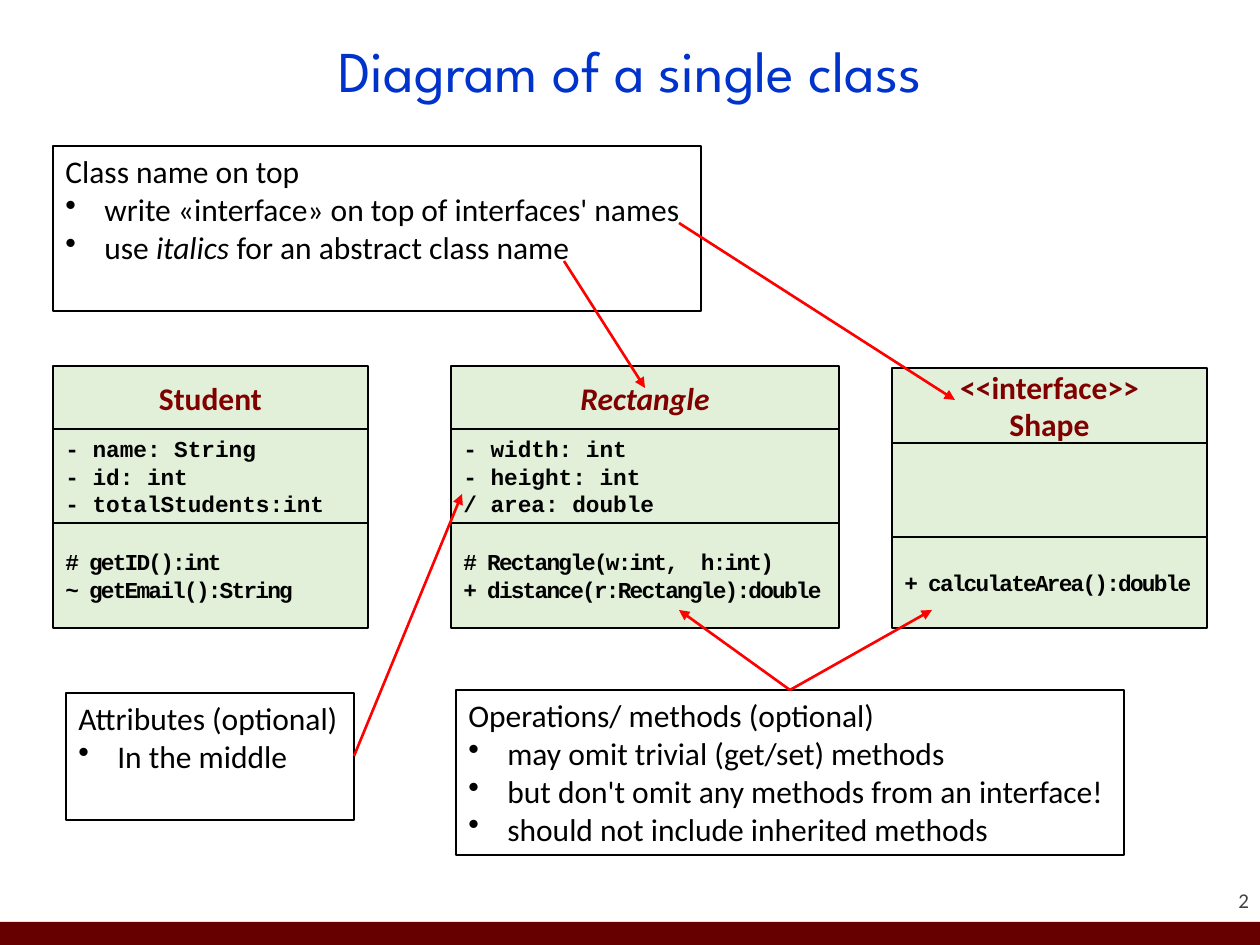
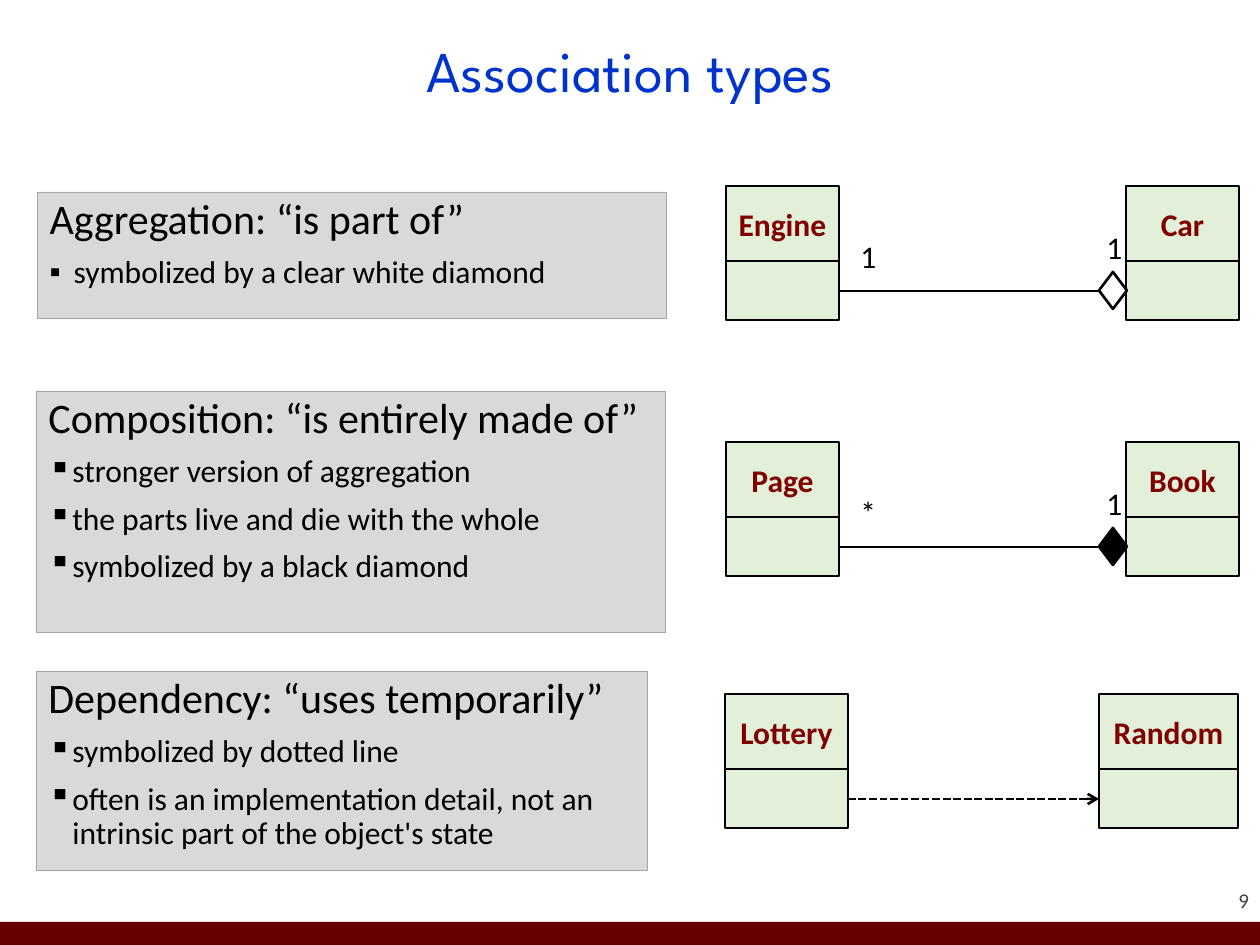
from dataclasses import dataclass, field
from itertools import accumulate

from lxml.etree import SubElement
from pptx import Presentation
from pptx.dml.color import RGBColor
from pptx.enum.dml import MSO_LINE
from pptx.enum.shapes import MSO_CONNECTOR, MSO_SHAPE
from pptx.enum.text import MSO_ANCHOR, MSO_AUTO_SIZE, PP_ALIGN
from pptx.oxml.ns import qn
from pptx.util import Emu, Pt

SCALE = 914400 / 126  # EMU in one px
TITLE_AND_BODY, TITLE_ONLY = 1, 5


def px(length):
    return Emu(round(length * SCALE))


def style(name, size, color, **extras):
    return {"name": name, "size": Pt(size), "color": color, **extras}


@dataclass
class Theme:
    maroon: str = "660000"
    class_fill: str = "E2F0D9"
    panel_fill: str = "D9D9D9"
    panel_edge: str = "A5A5A5"
    pointer: str = "FF0000"
    black: str = "000000"
    white: str = "FFFFFF"
    text: dict = field(default_factory=lambda: {
        "title": style("League Spartan", 33, "0033CC"),
        "number": style("Calibri", 12, "424242"),
        "heading": style("Calibri", 24, "000000"),
        "body": style("Calibri", 18, "000000"),
        "class": style("Calibri", 18, "800000", bold=True),
        "abstract": style("Calibri", 18, "800000", bold=True, italic=True),
        "attribute": style("Courier New", 13, "000000", bold=True),
        "operation": style("Courier New", 13, "000000", bold=True, spacing=-100),
    })


class Deck:
    def __init__(self, theme):
        self.theme = theme
        self.presentation = Presentation()
        self.presentation.slide_width = px(1260)
        self.presentation.slide_height = px(945)
        self.slide = self.canvas = None

    # Slide frame: title, bottom band and number
    def new_slide(self, title, number, layout):
        layouts = self.presentation.slide_layouts
        self.slide = self.presentation.slides.add_slide(layouts[layout])
        self.canvas = self.slide.shapes
        self.box(0, 922, 1260, 23, self.theme.maroon)
        self.label(1144, 863, 105, 50, number, "number", align=PP_ALIGN.RIGHT,
                   anchor=MSO_ANCHOR.BOTTOM, inset=0)
        heading = self.slide.shapes.title
        self.place(heading, 87, 15, 1086, 118)
        self.set_text(heading, [title], "title", align=PP_ALIGN.CENTER,
                      anchor=MSO_ANCHOR.MIDDLE, spacing=0.9)

    def start_group(self):
        self.canvas = self.slide.shapes.add_group_shape().shapes

    def end_group(self):
        self.canvas = self.slide.shapes

    # Basic elements
    def place(self, shape, *frame):
        for side, length in zip(("left", "top", "width", "height"), frame):
            setattr(shape, side, px(length))

    def paint(self, shape, fill, edge=None, weight=1.5):
        if fill:
            shape.fill.solid()
            shape.fill.fore_color.rgb = RGBColor.from_string(fill)
        else:
            shape.fill.background()
        if edge:
            shape.line.color.rgb = RGBColor.from_string(edge)
            shape.line.width = Pt(weight)
        else:
            shape.line.fill.background()

    def box(self, left, top, width, height, fill, edge=None, weight=1.5,
            kind=MSO_SHAPE.RECTANGLE):
        shape = self.canvas.add_shape(kind, *map(px, (left, top, width, height)))
        shape.shadow.inherit = False
        self.paint(shape, fill, edge, weight)
        return shape

    def label(self, left, top, width, height, words, look="body", **layout):
        frame = self.canvas.add_textbox(*map(px, (left, top, width, height)))
        self.set_text(frame, [words], look, **layout)

    def line(self, start, end, color, head=None, dash=None):
        connector = self.canvas.add_connector(
            MSO_CONNECTOR.STRAIGHT, *map(px, start + end))
        connector.line.color.rgb = RGBColor.from_string(color)
        connector.line.width = Pt(1.5)
        if dash:
            connector.line.dash_style = dash
        properties = connector._element.spPr
        if head:
            SubElement(properties.find(qn("a:ln")), qn("a:tailEnd"), type=head)
        SubElement(properties, qn("a:effectLst"))

    # Text: a paragraph is a string or a list of (words, extra format) runs
    def format_run(self, run, look, extras):
        values = {**self.theme.text[look], **extras}
        run.font.color.rgb = RGBColor.from_string(values.pop("color"))
        if "spacing" in values:
            run._r.get_or_add_rPr().set("spc", str(values.pop("spacing")))
        for attribute, value in values.items():
            setattr(run.font, attribute, value)

    def bullet(self, paragraph, symbol, indent):
        properties = paragraph._p.get_or_add_pPr()
        properties.set("marL", str(px(indent)))
        properties.set("indent", str(-px(indent)))
        if symbol:
            SubElement(properties, qn("a:buChar"), char=symbol)
        else:
            SubElement(properties, qn("a:buNone"))

    def set_text(self, shape, paragraphs, look, first_look=None, bullet=None,
                 indent=0, align=PP_ALIGN.LEFT, anchor=MSO_ANCHOR.TOP,
                 spacing=1.0, gap=0, inset=None):
        frame = shape.text_frame
        settings = {"word_wrap": True, "auto_size": MSO_AUTO_SIZE.NONE,
                    "vertical_anchor": anchor}
        if inset is not None:
            settings |= {f"margin_{side}": px(inset)
                         for side in ("left", "right", "top", "bottom")}
        for attribute, value in settings.items():
            setattr(frame, attribute, value)
        for index, content in enumerate(paragraphs):
            paragraph = frame.add_paragraph() if index else frame.paragraphs[0]
            if index and bullet:
                self.bullet(paragraph, bullet, indent)
            else:
                self.bullet(paragraph, None, 0)
            values = {"alignment": align, "line_spacing": spacing,
                      "space_before": Pt(gap if index else 0)}
            for attribute, value in values.items():
                setattr(paragraph, attribute, value)
            runs = [(content, {})] if isinstance(content, str) else content
            for words, extras in runs:
                run = paragraph.add_run()
                run.text = words
                self.format_run(run, look if index else first_look or look, extras)

    # Diagram parts
    def class_box(self, left, width, bounds, name, attributes=(),
                  operations=(), name_look="class"):
        parts = [(name, name_look), (attributes, "attribute"),
                 (operations, "operation")]
        for top, bottom, (lines, look) in zip(bounds, bounds[1:], parts):
            part = self.box(left, top, width, bottom - top,
                            self.theme.class_fill, self.theme.black,
                            kind=MSO_SHAPE.FLOWCHART_PROCESS)
            if lines:
                is_name = lines is name
                self.set_text(part, lines, look, anchor=MSO_ANCHOR.MIDDLE,
                              align=PP_ALIGN.CENTER if is_name else PP_ALIGN.LEFT,
                              inset=4 if is_name else None)

    def callout(self, left, top, width, height, paragraphs):
        note = self.box(left, top, width, height, self.theme.white,
                        self.theme.black, 1)
        self.set_text(note, paragraphs, "body", bullet="•", indent=39)

    def panel(self, left, top, width, height, paragraphs, placeholder=None):
        if placeholder is None:
            panel = self.box(left, top, width, height, None)
        else:
            panel = placeholder
            self.place(panel, left, top, width, height)
        self.paint(panel, self.theme.panel_fill, self.theme.panel_edge, 0.5)
        self.set_text(panel, paragraphs, "body", "heading", bullet="▪",
                      indent=24, spacing=0.9, gap=7.5)

    def relation(self, top, source, target):
        bounds = list(accumulate((top, 75, 59)))
        for left, width, name in (target, source):
            self.class_box(left, width, bounds, [name])
        return (source[0] + source[1], top + 105), (1099, top + 105)

    def whole_part(self, top, part, whole, count, diamond_fill):
        self.start_group()
        start, end = self.relation(top, (726, 113, part), (1126, 113, whole))
        self.line(start, end, self.theme.black)
        self.box(1099, top + 86, 28, 37, diamond_fill, self.theme.black,
                 kind=MSO_SHAPE.DIAMOND)
        self.label(848, top + 45, 67, 50, count)
        self.label(1094, top + 36, 37, 50, "1")
        self.end_group()


def single_class(deck):
    deck.new_slide("Diagram of a single class", "2", TITLE_ONLY)

    # Three class diagrams
    bounds, interface_bounds = (366, 429, 523, 628), (368, 443, 537, 628)
    classes = [
        (451, 388, bounds, ["Rectangle"],
         ["- width: int", "- height: int", "/ area: double"],
         ["# Rectangle(w:int,  h:int)", "+ distance(r:Rectangle):double"],
         "abstract"),
        (53, 315, bounds, ["Student"],
         ["- name: String", "- id: int", "- totalStudents:int"],
         ["# getID():int", "~ getEmail():String"]),
        (892, 315, interface_bounds, ["<<interface>>", "Shape"], [],
         ["+ calculateArea():double"]),
    ]
    for diagram in classes:
        deck.start_group()
        deck.class_box(*diagram)
        deck.end_group()

    # Explanations
    deck.callout(53, 146, 648, 165, [
        "Class name on top",
        "write «interface» on top of interfaces' names",
        [("use ", {}), ("italics ", {"italic": True}),
         ("for an abstract class name", {})],
    ])
    deck.callout(66, 693, 288, 127, ["Attributes (optional)", "In the middle"])
    deck.callout(456, 690, 668, 165, [
        "Operations/ methods (optional)",
        "may omit trivial (get/set) methods",
        "but don't omit any methods from an interface!",
        "should not include inherited methods",
    ])

    # Pointers from explanations to class parts
    operations_top = (790, 690)
    pointers = [
        ((564, 261), (645, 388)),
        ((679, 223), (955, 400)),
        ((354, 756), (462, 494)),
        (operations_top, (679, 610)),
        (operations_top, (932, 610)),
    ]
    for start, end in pointers:
        deck.line(start, end, deck.theme.pointer, "triangle")


def association_types(deck):
    deck.new_slide("Association types", "9", TITLE_AND_BODY)

    # Aggregation
    deck.panel(37, 192, 629, 127, [
        "Aggregation: “is part of”",
        "symbolized by a clear white diamond",
    ], deck.slide.placeholders[1])
    deck.whole_part(186, "Engine", "Car", "1", None)

    # Composition
    deck.panel(36, 391, 630, 242, [
        "Composition: “is entirely made of”",
        "stronger version of aggregation",
        "the parts live and die with the whole",
        "symbolized by a black diamond",
    ])
    deck.whole_part(442, "Page", "Book", "*", deck.theme.black)

    # Dependency
    deck.panel(36, 671, 611, 200, [
        "Dependency: “uses temporarily”",
        "symbolized by dotted line",
        "often is an implementation detail, not an intrinsic part of the "
        "object's state",
    ])
    deck.start_group()
    start, end = deck.relation(694, (725, 123, "Lottery"), (1099, 139, "Random"))
    deck.line(start, end, deck.theme.black, "arrow", MSO_LINE.SQUARE_DOT)
    deck.end_group()


def main():
    deck = Deck(Theme())
    single_class(deck)
    association_types(deck)
    deck.presentation.save("out.pptx")


if __name__ == "__main__":
    main()
